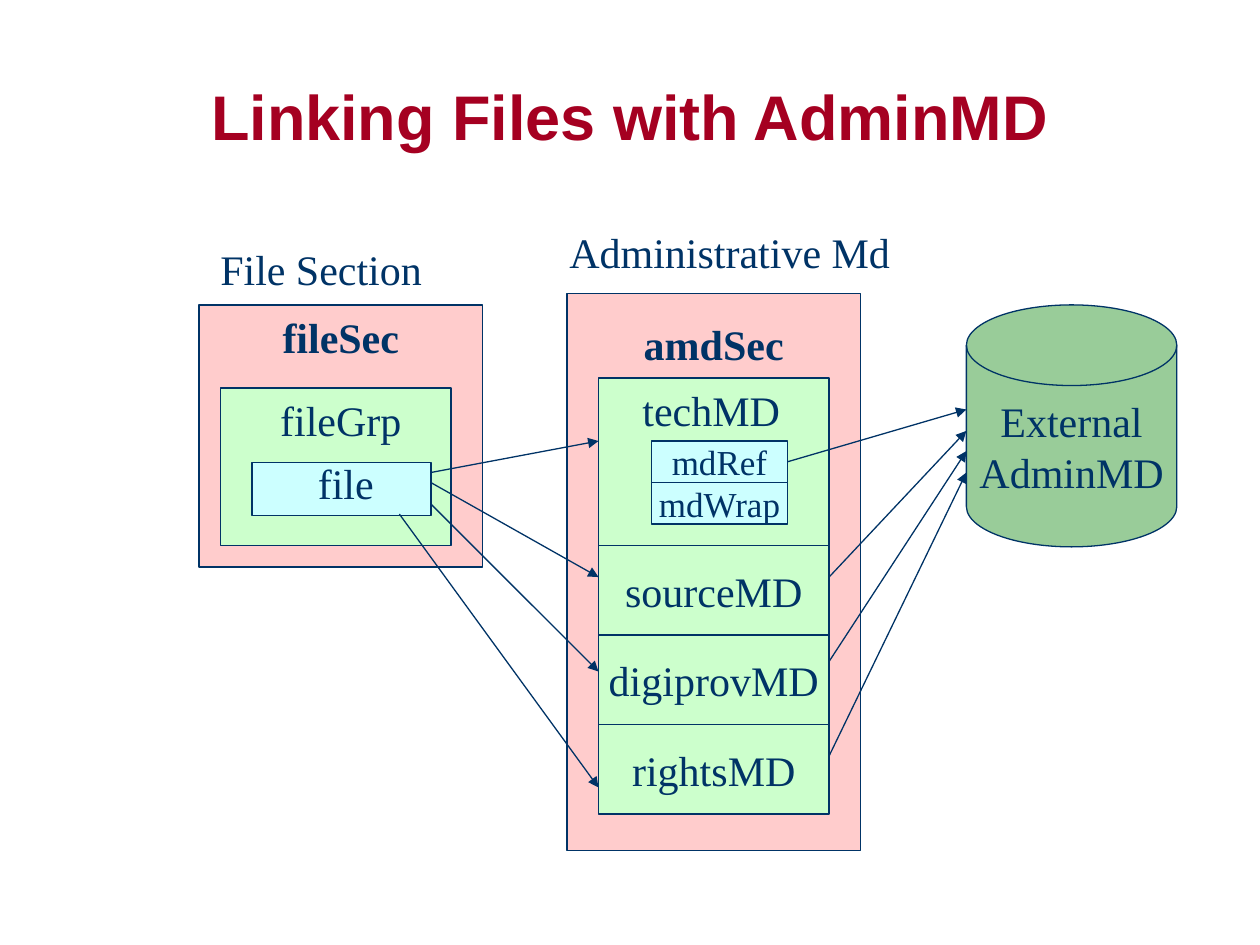
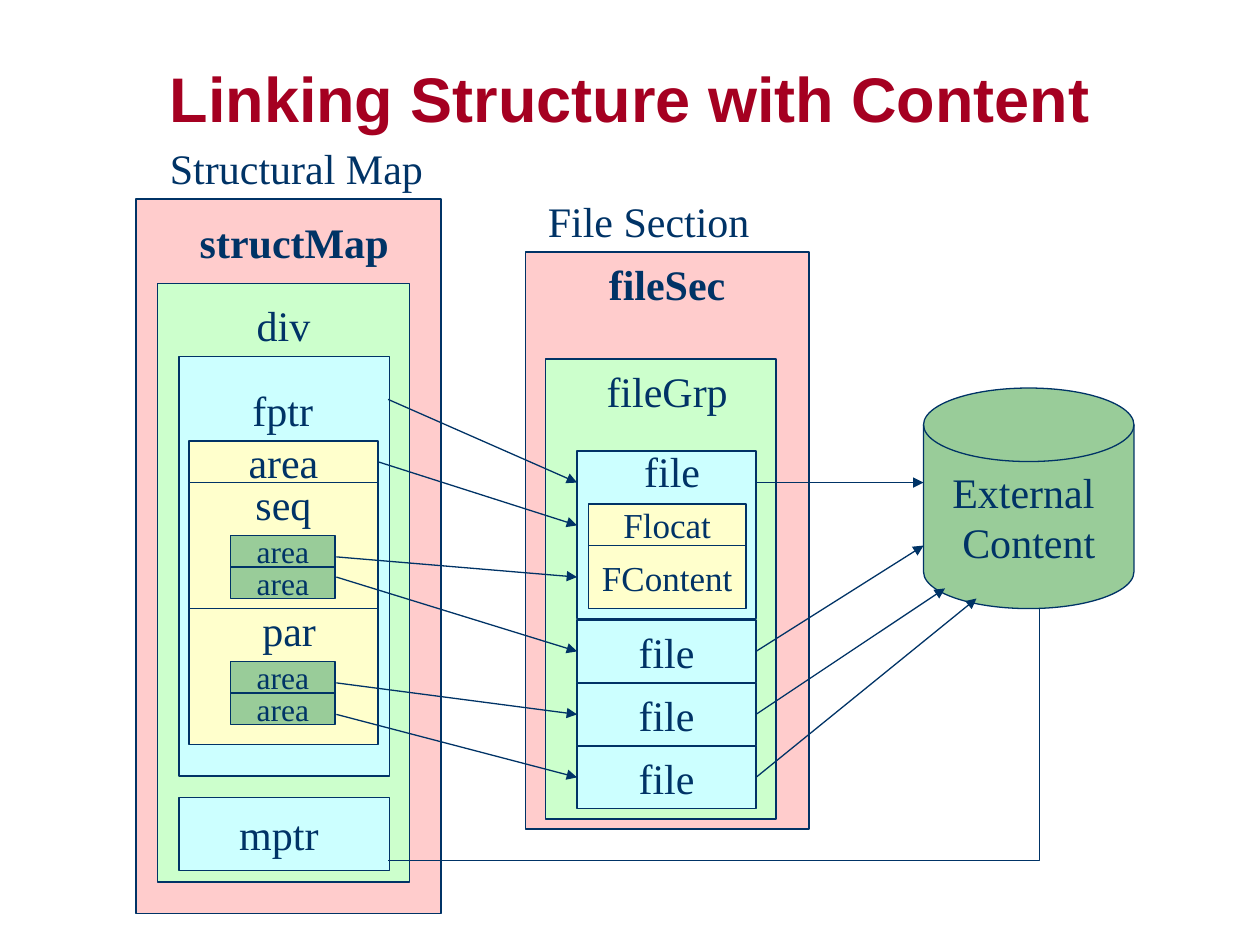
import pptx
import pptx.util
import pptx.dml.color
import pptx.enum.shapes
import pptx.enum.text
import pptx.oxml
import pptx.oxml.ns
from dataclasses import dataclass
from typing import NamedTuple

Inches = pptx.util.Inches
RGBColor = pptx.dml.color.RGBColor
Kind = pptx.enum.shapes.MSO_SHAPE
Align = pptx.enum.text.PP_ALIGN
Anchor = pptx.enum.text.MSO_ANCHOR

NAVY = RGBColor(0x00, 0x33, 0x66)
RED = RGBColor(0xA5, 0x00, 0x21)
PINK = RGBColor(0xFF, 0xCC, 0xCC)
MINT = RGBColor(0xCC, 0xFF, 0xCC)
AQUA = RGBColor(0xCC, 0xFF, 0xFF)
CREAM = RGBColor(0xFF, 0xFF, 0xCC)
GREEN = RGBColor(0x99, 0xCC, 0x99)
SERIF = "Times New Roman"
SANS = "Arial"
NEAR = Inches(0.02)


@dataclass
class Box:
    left: float
    top: float
    width: float
    height: float
    fill: RGBColor
    text: str = ""
    size: int = 24
    kind: Kind = Kind.RECTANGLE


@dataclass
class Label:
    text: str
    left: float
    top: float
    width: float
    bold: bool = False
    align: Align = Align.CENTER
    wrap: bool = True


class Title(NamedTuple):
    text: str
    top: float
    height: float
    pitch: float


class Arrow(NamedTuple):
    x1: float
    y1: float
    x2: float
    y2: float


def stack(names: list[str], left: float, top: float, width: float,
          height: float, fill: RGBColor, size: int = 24) -> list[Box]:
    return [Box(left, top + row * height, width, height, fill, name, size)
            for row, name in enumerate(names)]


def heading(text: str, left: float, top: float, width: float) -> Label:
    return Label(text, left, top, width, align=Align.LEFT, wrap=False)


def write(frame, text: str, size: int, font: str = SERIF,
          color: RGBColor = NAVY, bold: bool = False,
          align: Align = Align.CENTER, wrap: bool = False,
          anchor: Anchor = Anchor.MIDDLE, pitch: float = 1.0) -> None:
    frame.word_wrap = wrap
    frame.vertical_anchor = anchor
    for row, line in enumerate(text.split("\n")):
        para = frame.add_paragraph() if row else frame.paragraphs[0]
        para.alignment = align
        para.line_spacing = pitch
        run = para.add_run()
        run.text = line
        run.font.name = font
        run.font.size = pptx.util.Pt(size)
        run.font.bold = bold
        run.font.color.rgb = color


def stroke(line) -> None:
    line.color.rgb = NAVY
    line.width = pptx.util.Pt(0.75)


def draw_title(slide, title: Title) -> None:
    area = slide.shapes.add_textbox(Inches(0), Inches(title.top),
                                    Inches(10), Inches(title.height))
    write(area.text_frame, title.text, 36, SANS, RED, True,
          wrap=True, pitch=title.pitch)


def draw_box(slide, box: Box):
    shape = slide.shapes.add_shape(
        box.kind, Inches(box.left), Inches(box.top),
        Inches(box.width), Inches(box.height))
    shape.shadow.inherit = False
    shape.fill.solid()
    shape.fill.fore_color.rgb = box.fill
    stroke(shape.line)
    if box.text:
        write(shape.text_frame, box.text, box.size)
    return shape


def draw_label(slide, label: Label) -> None:
    area = slide.shapes.add_textbox(Inches(label.left), Inches(label.top),
                                    Inches(label.width), Inches(0.5))
    frame = area.text_frame
    frame.auto_size = pptx.enum.text.MSO_AUTO_SIZE.SHAPE_TO_FIT_TEXT
    write(frame, label.text, 24, bold=label.bold,
          align=label.align, wrap=label.wrap, anchor=Anchor.TOP)


def join(link, x: int, y: int, rects: list, first: bool) -> None:
    for rect in rects:
        mid = rect.top + rect.height // 2
        for site, side in ((1, rect.left), (3, rect.left + rect.width)):
            if abs(x - side) < NEAR and abs(y - mid) < NEAR:
                attach = link.begin_connect if first else link.end_connect
                attach(rect, site)
                return


def draw_arrow(slide, arrow: Arrow, rects: list) -> None:
    x1, y1, x2, y2 = map(Inches, arrow)
    link = slide.shapes.add_connector(
        pptx.enum.shapes.MSO_CONNECTOR.STRAIGHT, x1, y1, x2, y2)
    stroke(link.line)
    props = link.element.spPr
    tail = pptx.oxml.parse_xml(
        f'<a:tailEnd {pptx.oxml.ns.nsdecls("a")} type="triangle"/>')
    props.find(pptx.oxml.ns.qn("a:ln")).append(tail)
    props.append(pptx.oxml.parse_xml(
        f'<a:effectLst {pptx.oxml.ns.nsdecls("a")}/>'))
    join(link, x1, y1, rects, True)
    join(link, x2, y2, rects, False)


def draw_path(slide, points: list[tuple[float, float]]) -> None:
    start, *rest = [(Inches(x), Inches(y)) for x, y in points]
    pen = slide.shapes.build_freeform(*start)
    pen.add_line_segments(rest, close=False)
    shape = pen.convert_to_shape()
    shape.shadow.inherit = False
    shape.fill.background()
    stroke(shape.line)


def add_slide(deck, title: Title, boxes: list[Box], labels: list[Label],
              arrows: list[Arrow]):
    slide = deck.slides.add_slide(deck.slide_layouts[6])
    draw_title(slide, title)
    rects = []
    for box in boxes:
        shape = draw_box(slide, box)
        if box.kind == Kind.RECTANGLE:
            rects.append(shape)
    for label in labels:
        draw_label(slide, label)
    for arrow in arrows:
        draw_arrow(slide, arrow, rects)
    return slide


def add_admin(deck) -> None:
    boxes = [
        Box(1.58, 2.42, 2.25, 2.08, PINK),
        Box(1.75, 3.08, 1.83, 1.25, MINT),
        Box(2, 3.67, 1.42, 0.42, AQUA),
        Box(4.5, 2.33, 2.33, 4.42, PINK),
        Box(4.75, 3, 1.83, 1.33, MINT),
        *stack(["sourceMD", "digiprovMD", "rightsMD"],
               4.75, 4.33, 1.83, 0.71, MINT),
        *stack(["mdRef", "mdWrap"], 5.17, 3.5, 1.08, 0.33, AQUA, 20),
        Box(7.67, 2.42, 1.67, 1.92, GREEN, "External\nAdminMD",
            kind=Kind.FLOWCHART_MAGNETIC_DISK),
    ]
    labels = [
        heading("File Section", 1.65, 1.88, 1.8),
        heading("Administrative Md", 4.42, 1.75, 2.76),
        Label("fileSec", 1.58, 2.42, 2.25, bold=True),
        Label("fileGrp", 1.83, 3.08, 1.75),
        Label("file", 2.08, 3.58, 1.33),
        Label("amdSec", 4.58, 2.48, 2.17, bold=True),
        Label("techMD", 5, 3, 1.42, align=Align.LEFT),
    ]
    arrows = [
        Arrow(3.42, 3.75, 4.75, 3.5),
        Arrow(3.42, 3.83, 4.75, 4.58),
        Arrow(3.42, 4, 4.75, 5.33),
        Arrow(3.17, 4.08, 4.75, 6.25),
        Arrow(6.25, 3.67, 7.67, 3.25),
        Arrow(6.58, 4.58, 7.67, 3.42),
        Arrow(6.58, 5.25, 7.67, 3.58),
        Arrow(6.58, 6, 7.67, 3.75),
    ]
    title = Title("Linking Files with AdminMD", 0.33, 1.25, 0.9)
    add_slide(deck, title, boxes, labels, arrows)


def add_struct(deck) -> None:
    boxes = [
        Box(1.08, 1.58, 2.42, 5.67, PINK),
        Box(1.25, 2.25, 2, 4.75, MINT),
        Box(1.42, 2.83, 1.67, 3.33, AQUA),
        Box(1.5, 3.5, 1.5, 0.33, CREAM, "area"),
        Box(1.5, 3.83, 1.5, 1, CREAM),
        Box(1.5, 4.83, 1.5, 1.08, CREAM),
        *[area for top in (4.25, 5.25)
          for area in stack(["area"] * 2, 1.83, top, 0.83, 0.25, GREEN, 18)],
        Box(1.42, 6.33, 1.67, 0.58, AQUA, "mptr "),
        Box(4.17, 2, 2.25, 4.58, PINK),
        Box(4.33, 2.85, 1.83, 3.65, MINT),
        Box(4.58, 3.58, 1.42, 1.33, AQUA),
        Box(4.67, 4, 1.25, 0.33, CREAM, "Flocat", 20),
        Box(4.67, 4.33, 1.25, 0.5, CREAM, "FContent", 20),
        *stack(["file"] * 3, 4.58, 4.92, 1.42, 0.5, AQUA),
        Box(7.33, 3.08, 1.67, 1.75, GREEN, "External \nContent",
            kind=Kind.FLOWCHART_MAGNETIC_DISK),
    ]
    labels = [
        heading("Structural Map", 1.25, 1.08, 2.21),
        heading("File Section", 4.25, 1.5, 1.8),
        Label("structMap", 1.25, 1.67, 2.17, bold=True),
        Label("div", 1.25, 2.33, 2),
        Label("fptr", 1.58, 3, 1.33),
        Label("seq", 1.5, 3.75, 1.5),
        Label("par", 1.67, 4.75, 1.25),
        Label("fileSec", 4.17, 2, 2.25, bold=True),
        Label("fileGrp", 4.42, 2.85, 1.75),
        Label("file", 4.67, 3.49, 1.33),
    ]
    arrows = [
        Arrow(3.08, 3.17, 4.58, 3.83),
        Arrow(3, 3.67, 4.58, 4.17),
        Arrow(2.67, 4.42, 4.58, 4.58),
        Arrow(2.67, 4.58, 4.58, 5.17),
        Arrow(2.67, 5.42, 4.58, 5.67),
        Arrow(2.67, 5.67, 4.58, 6.17),
        Arrow(6, 3.83, 7.33, 3.83),
        Arrow(6, 5.17, 7.33, 4.33),
        Arrow(6, 5.67, 7.5, 4.67),
        Arrow(6, 6.17, 7.75, 4.75),
    ]
    title = Title("Linking Structure with Content", 0.42, 0.7, 1.0)
    slide = add_slide(deck, title, boxes, labels, arrows)
    draw_path(slide, [(3.08, 6.83), (8.25, 6.83), (8.25, 4.83)])


def main() -> None:
    deck = pptx.Presentation()
    deck.slide_width = Inches(10)
    deck.slide_height = Inches(7.5)
    add_admin(deck)
    add_struct(deck)
    deck.save("out.pptx")


if __name__ == "__main__":
    main()
